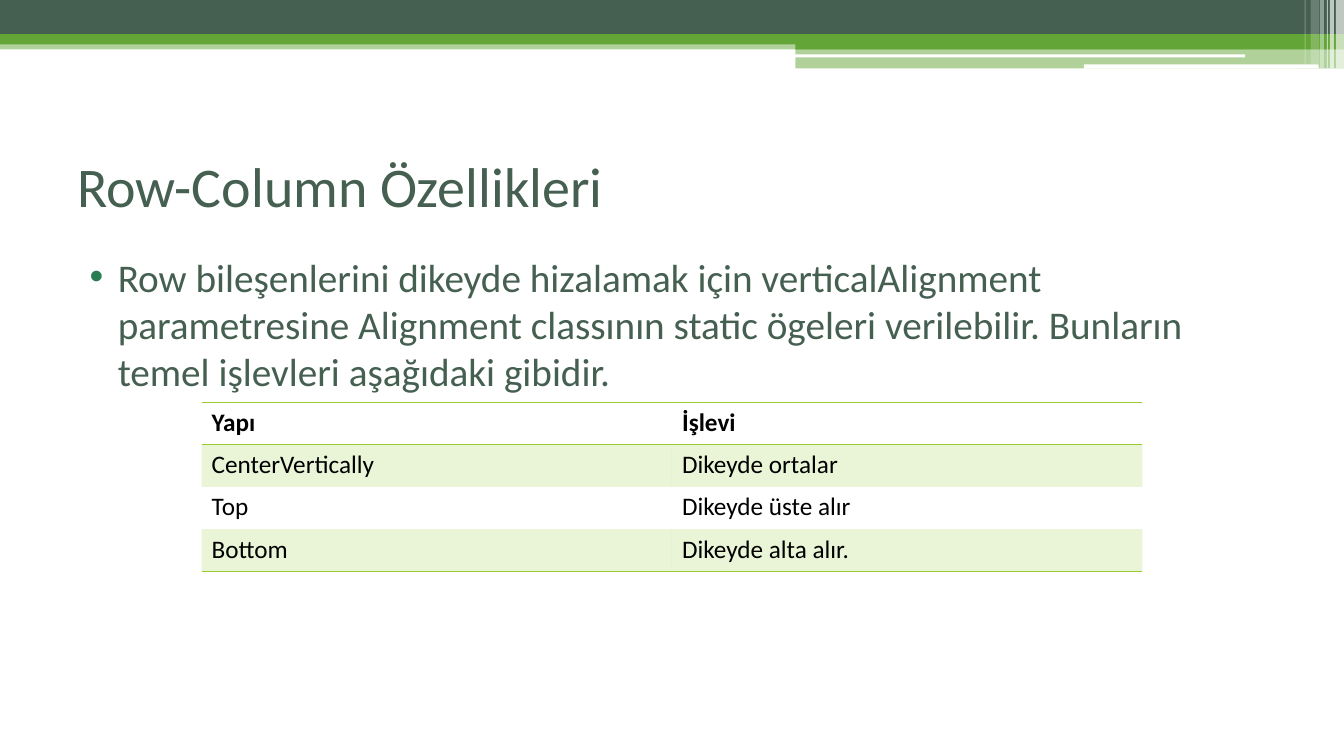
from lxml import etree
from pptx import Presentation
from pptx import util as u
from pptx.dml.color import RGBColor
from pptx.enum import shapes, text
from pptx.oxml import ns

PX = 9144
GREEN = RGBColor(0x63, 0xA5, 0x37)
DARK = RGBColor(0x45, 0x5F, 0x51)
BULLET = RGBColor(0x29, 0x7D, 0x53)
LIME = RGBColor(0x99, 0xCB, 0x38)
WHITE = RGBColor(0xFF, 0xFF, 0xFF)
BLACK = RGBColor(0, 0, 0)
RECT = shapes.MSO_SHAPE.RECTANGLE
ROUND = shapes.MSO_SHAPE.ROUNDED_RECTANGLE


def paint(fill, parent, color, opacity):
    fill.solid()
    fill.fore_color.rgb = color
    if opacity < 100:
        clr = parent.find(ns.qn("a:solidFill"))[0]
        etree.SubElement(clr, ns.qn("a:alpha"), val=str(opacity * 1000))


def write(p, words, size, color, bold=False):
    r = p.add_run()
    r.text = words
    r.font.name = "Calibri"
    r.font.size = u.Pt(size)
    r.font.bold = bold
    r.font.color.rgb = color


prs = Presentation()
prs.slide_width, prs.slide_height = 1333 * PX, 750 * PX
s = prs.slides.add_slide(prs.slide_layouts[6])

bands = [
    (RECT, 0, 40, 1333, 9, GREEN, 50),
    (RECT, 0, 0, 1333, 34, DARK, 100),
    (RECT, 0, 34, 1333, 10, GREEN, 100),
    (RECT, 789, 39, 544, 10, GREEN, 100),
    (RECT, 789, 48, 544, 20, GREEN, 50),
    (ROUND, 788, 54, 447, 3, WHITE, 100),
    (ROUND, 1075, 64, 233, 4, WHITE, 100),
    (RECT, 1325, 0, 8, 68, WHITE, 65),
    (RECT, 1319, 0, 4, 68, WHITE, 65),
    (RECT, 1316, 0, 1, 68, WHITE, 60),
    (RECT, 1309, 0, 4, 68, WHITE, 40),
    (RECT, 1300, 0, 8, 64, WHITE, 20),
    (RECT, 1294, 0, 1, 64, WHITE, 30),
]
for kind, x, y, w, h, color, opacity in bands:
    sp = s.shapes.add_shape(kind, x * PX, y * PX, w * PX, h * PX)
    sp.shadow.inherit = False
    sp.line.fill.background()
    paint(sp.fill, sp._element.spPr, color, opacity)

title = s.shapes.add_textbox(67 * PX, 125 * PX, 1200 * PX, 117 * PX)
tf = title.text_frame
tf.word_wrap = True
tf.vertical_anchor = text.MSO_ANCHOR.MIDDLE
write(tf.paragraphs[0], "Row-Column Özellikleri", 40, DARK)

body = s.shapes.add_textbox(67 * PX, 246 * PX, 1200 * PX, 473 * PX)
tf = body.text_frame
tf.word_wrap = True
p = tf.paragraphs[0]
p.space_before = u.Pt(3)
pPr = p._p.get_or_add_pPr()
pPr.set("marL", str(40 * PX))
pPr.set("indent", str(-28 * PX))
buClr = etree.SubElement(pPr, ns.qn("a:buClr"))
etree.SubElement(buClr, ns.qn("a:srgbClr"), val=str(BULLET))
etree.SubElement(pPr, ns.qn("a:buFont"), typeface="Arial")
etree.SubElement(pPr, ns.qn("a:buChar"), char="•")
write(p, "Row bileşenlerini dikeyde hizalamak için verticalAlignment "
         "parametresine Alignment classının static ögeleri verilebilir. "
         "Bunların temel işlevleri aşağıdaki gibidir.", 28, DARK)

rows = [
    ("Yapı", "İşlevi"),
    ("CenterVertically", "Dikeyde ortalar"),
    ("Top", "Dikeyde üste alır"),
    ("Bottom", "Dikeyde alta alır."),
]
edges = {0: ("lnT", "lnB"), len(rows) - 1: ("lnB",)}
frame = s.shapes.add_table(len(rows), 2, 200 * PX, 399 * PX, 933 * PX, 42 * len(rows) * PX)
table = frame.table
style = table._tbl.tblPr.find(ns.qn("a:tableStyleId"))
style.text = "{2D5ABB26-0587-4C30-8999-92F81FD0307C}"
for i, row in enumerate(rows):
    table.rows[i].height = 42 * PX
    for j, words in enumerate(row):
        cell = table.cell(i, j)
        tcPr = cell._tc.get_or_add_tcPr()
        for edge in edges.get(i, ()):
            ln = etree.SubElement(tcPr, ns.qn("a:" + edge), w=str(u.Pt(1)))
            solid = etree.SubElement(ln, ns.qn("a:solidFill"))
            etree.SubElement(solid, ns.qn("a:srgbClr"), val=str(LIME))
        if i % 2:
            paint(cell.fill, tcPr, LIME, 20)
        else:
            cell.fill.background()
        write(cell.text_frame.paragraphs[0], words, 18, BLACK, i == 0)

prs.save("out.pptx")
